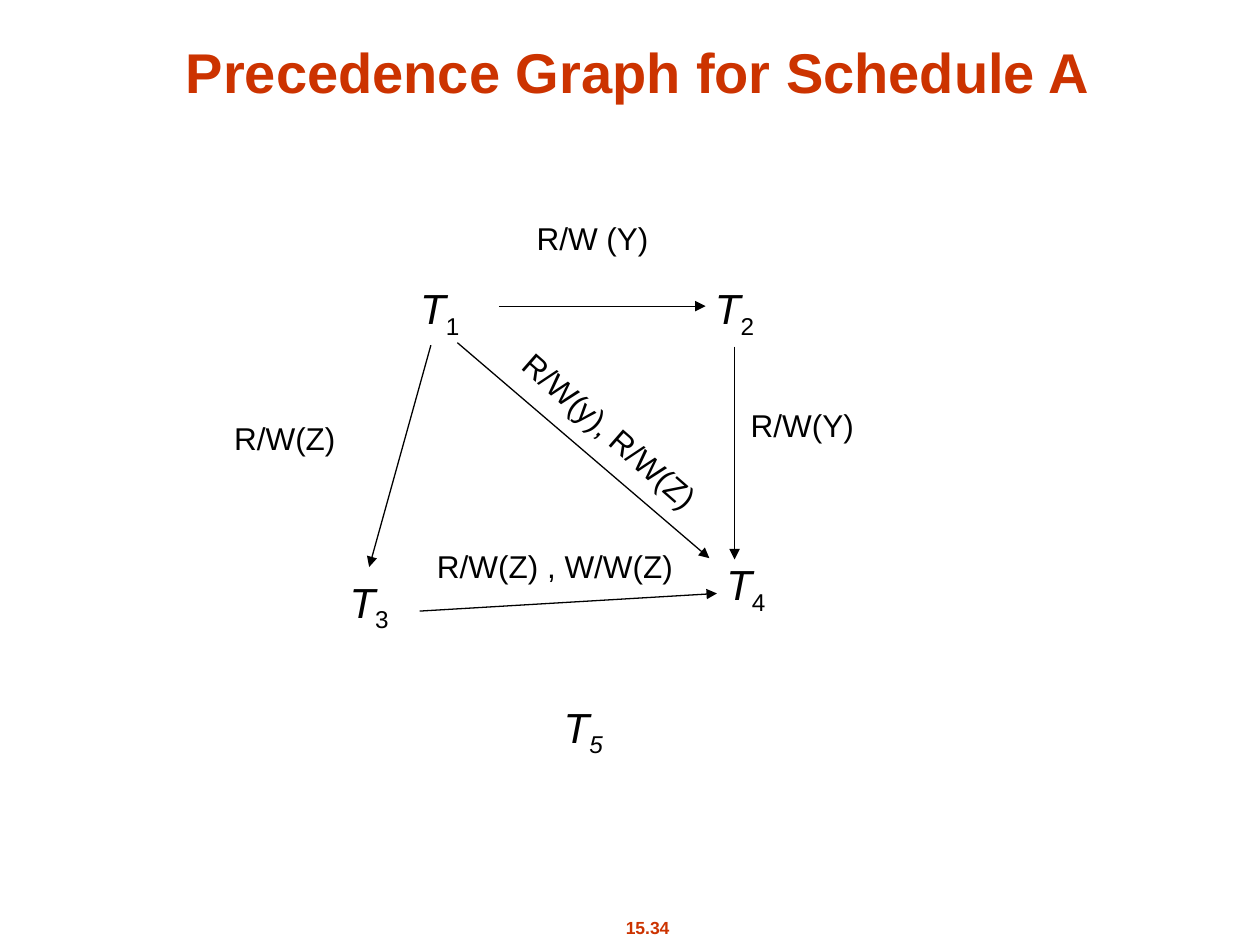
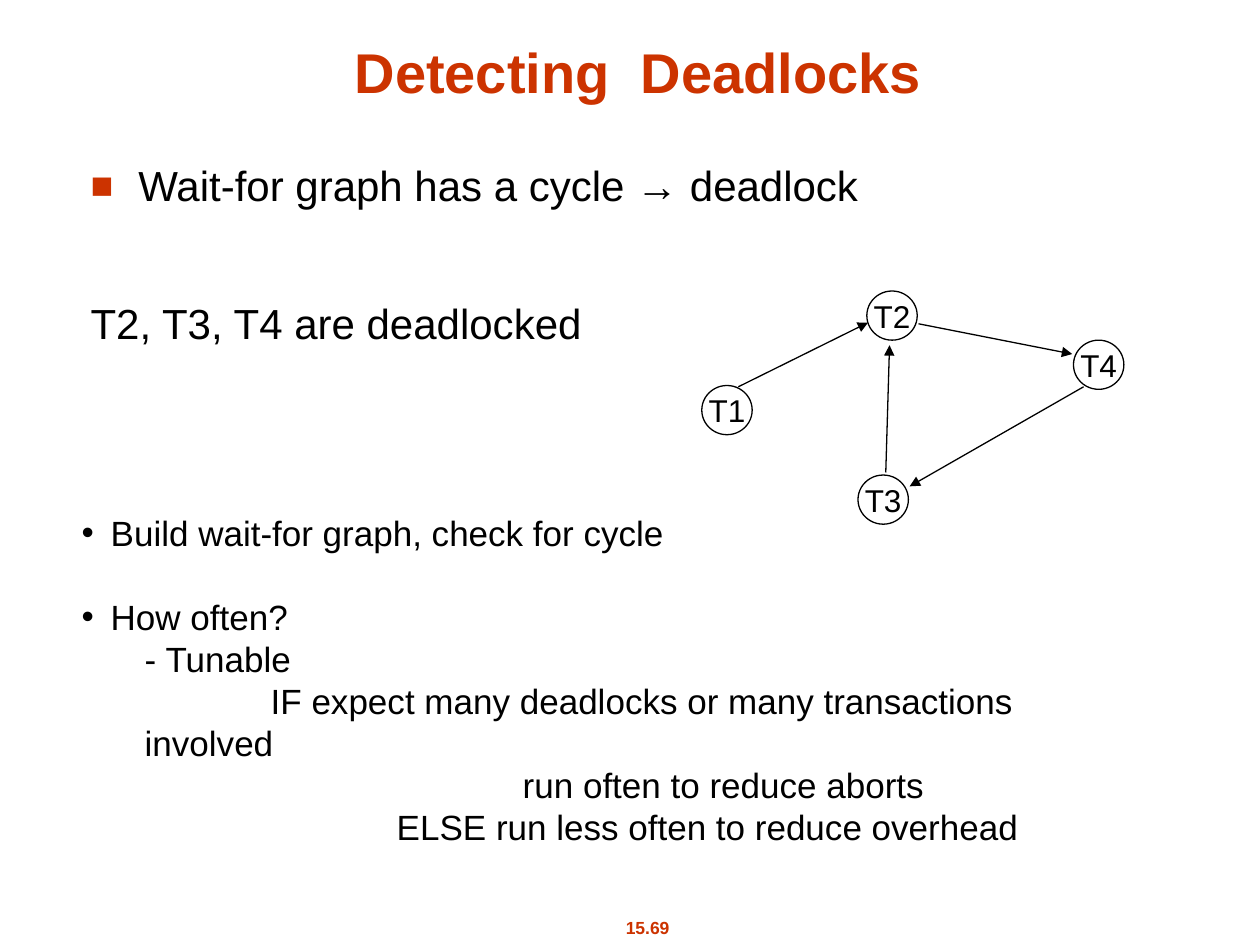
import pptx
import pptx.util
import pptx.dml.color
import pptx.enum.shapes
import pptx.enum.text
import pptx.oxml
import pptx.oxml.ns
import lxml.etree

PX = 9144
FONT = "Arial"
COLORS = {"accent": "CC3300", "ink": "000000"}
ALIGN = pptx.enum.text.PP_ALIGN
ANCHOR = pptx.enum.text.MSO_ANCHOR
qn = pptx.oxml.ns.qn


def style_paragraph(paragraph, size, color="ink", bold=False, align=ALIGN.LEFT):
    paragraph.alignment = align
    paragraph.line_spacing = pptx.util.Pt(size * 1.2)
    paragraph.font.name = FONT
    paragraph.font.size = pptx.util.Pt(size)
    paragraph.font.bold = bold
    paragraph.font.color.rgb = pptx.dml.color.RGBColor.from_string(COLORS[color])


def add_arrow(slide, *ends):
    connector = slide.shapes.add_connector(
        pptx.enum.shapes.MSO_CONNECTOR.STRAIGHT, *[end * PX for end in ends])
    connector.line.width = pptx.util.Pt(0.75)
    connector.line.color.rgb = pptx.dml.color.RGBColor.from_string(COLORS["ink"])
    line = connector.line._get_or_add_ln()
    lxml.etree.SubElement(line, qn("a:tailEnd"), type="triangle")
    lxml.etree.SubElement(connector._element.spPr, qn("a:effectLst"))
    return connector


presentation = pptx.Presentation()
presentation.slide_width = 1000 * PX
presentation.slide_height = 750 * PX

slides = []
for title_text, number in [
    ("Precedence Graph for Schedule A", "15.34"),
    ("Detecting  Deadlocks", "15.69"),
]:
    slide = presentation.slides.add_slide(presentation.slide_layouts[5])
    slides.append(slide)
    title = slide.shapes.title
    title.left, title.top, title.width, title.height = [
        side * PX for side in (65, 21, 883, 67)]
    title.text_frame.text = title_text
    title.text_frame.vertical_anchor = ANCHOR.BOTTOM
    title.text_frame.auto_size = pptx.enum.text.MSO_AUTO_SIZE.NONE
    style_paragraph(title.text_frame.paragraphs[0], 32, "accent", True, ALIGN.CENTER)
    title.text_frame.paragraphs[0].line_spacing = 1.0

    footer = slide.shapes.add_textbox(461 * PX, 723 * PX, 106 * PX, 27 * PX)
    footer.text_frame.text = number
    style_paragraph(footer.text_frame.paragraphs[0], 10, "accent", True, ALIGN.CENTER)

precedence_slide, deadlock_slide = slides

transactions = {}
for number, left, top in [
    ("3", 263, 452), ("4", 562, 438), ("1", 319, 219), ("2", 553, 219), ("5", 433, 551),
]:
    box = precedence_slide.shapes.add_textbox(left * PX, top * PX, 60 * PX, 56 * PX)
    box.text_frame.margin_top = 11 * PX
    transactions[number] = box
    paragraph = box.text_frame.paragraphs[0]
    letter = paragraph.add_run()
    letter.text = "T"
    letter.font.italic = True
    subscript = paragraph.add_run()
    subscript.text = number
    subscript.font.italic = number == "5"
    subscript._r.get_or_add_rPr().set("baseline", "-25000")
    style_paragraph(paragraph, 24, align=ALIGN.CENTER)

for text, left, top, width, rotation in [
    ("R/W (Y)", 416, 169, 109, 0),
    ("R/W(Y)", 586, 317, 102, 0),
    ("R/W(Z)", 176, 328, 100, 0),
    ("R/W(Z) , W/W(Z)", 337, 429, 207, 0),
    ("R/W(y), R/W(Z)", 388, 322, 192, 41.2),
]:
    label = precedence_slide.shapes.add_textbox(left * PX, top * PX, width * PX, 40 * PX)
    label.rotation = rotation
    label.text_frame.text = text
    label.text_frame.margin_right = 0
    label.text_frame.word_wrap = True
    style_paragraph(label.text_frame.paragraphs[0], 18)

for ends in [
    (396, 243, 560, 243),
    (333, 485, 569, 471),
    (342, 274, 293, 450),
    (363, 272, 563, 443),
]:
    add_arrow(precedence_slide, *ends)
add_arrow(precedence_slide, 583, 275, 583, 444).begin_connect(transactions["2"], 2)

for name, left, top in [("T1", 557, 306), ("T2", 688, 231), ("T4", 852, 270), ("T3", 681, 377)]:
    node = deadlock_slide.shapes.add_shape(
        pptx.enum.shapes.MSO_SHAPE.OVAL, left * PX, top * PX, 40 * PX, 39 * PX)
    node.shadow.inherit = False
    node.fill.background()
    node.line.width = pptx.util.Pt(0.75)
    node.line.color.rgb = pptx.dml.color.RGBColor.from_string(COLORS["ink"])
    frame = node.text_frame
    frame.margin_left = frame.margin_right = frame.margin_top = frame.margin_bottom = 0
    frame.vertical_anchor = ANCHOR.MIDDLE
    frame.word_wrap = False
    frame.text = name
    style_paragraph(frame.paragraphs[0], 18, align=ALIGN.CENTER)

for ends in [
    (586, 307, 689, 256),
    (703, 375, 706, 274),
    (729, 257, 851, 281),
    (860, 307, 722, 386),
]:
    add_arrow(deadlock_slide, *ends)

square = ("■", "accent", 90)
dot = ("•", "ink", 100)
for (left, top, width, height), size, lines in [
    ((62, 122, 858, 533), 24, [
        ("Wait-for graph has a cycle → deadlock", square, 38, -38, 0),
        ("T2, T3, T4 are deadlocked", None, 0, 0, 50),
    ]),
    ((55, 401, 848, 277), 20, [
        ("Build wait-for graph, check for cycle", dot, 23, -23, 0),
        ("How often?", dot, 23, -23, 24),
        ("- Tunable", None, 50, 0, 0),
        ("IF expect many deadlocks or many transactions involved", None, 50, 100, 0),
        ("run often to reduce aborts", None, 50, 300, 0),
        ("ELSE run less often to reduce overhead", None, 50, 200, 0),
    ]),
]:
    frame = deadlock_slide.shapes.add_textbox(
        left * PX, top * PX, width * PX, height * PX).text_frame
    frame.word_wrap = True
    for index, (text, bullet, margin, indent, space) in enumerate(lines):
        paragraph = frame.add_paragraph() if index else frame.paragraphs[0]
        paragraph.text = text
        properties = paragraph._p.get_or_add_pPr()
        properties.set("marL", str(margin * PX))
        properties.set("indent", str(indent * PX))
        if bullet:
            symbol, color, percent = bullet
            bullet_color = lxml.etree.SubElement(properties, qn("a:buClr"))
            lxml.etree.SubElement(bullet_color, qn("a:srgbClr"), val=COLORS[color])
            lxml.etree.SubElement(properties, qn("a:buSzPct"), val=str(percent * 1000))
            lxml.etree.SubElement(properties, qn("a:buFont"), typeface=FONT)
            lxml.etree.SubElement(properties, qn("a:buChar"), char=symbol)
        if space:
            paragraph.space_before = pptx.util.Pt(space)
        style_paragraph(paragraph, size)

presentation.save("out.pptx")
